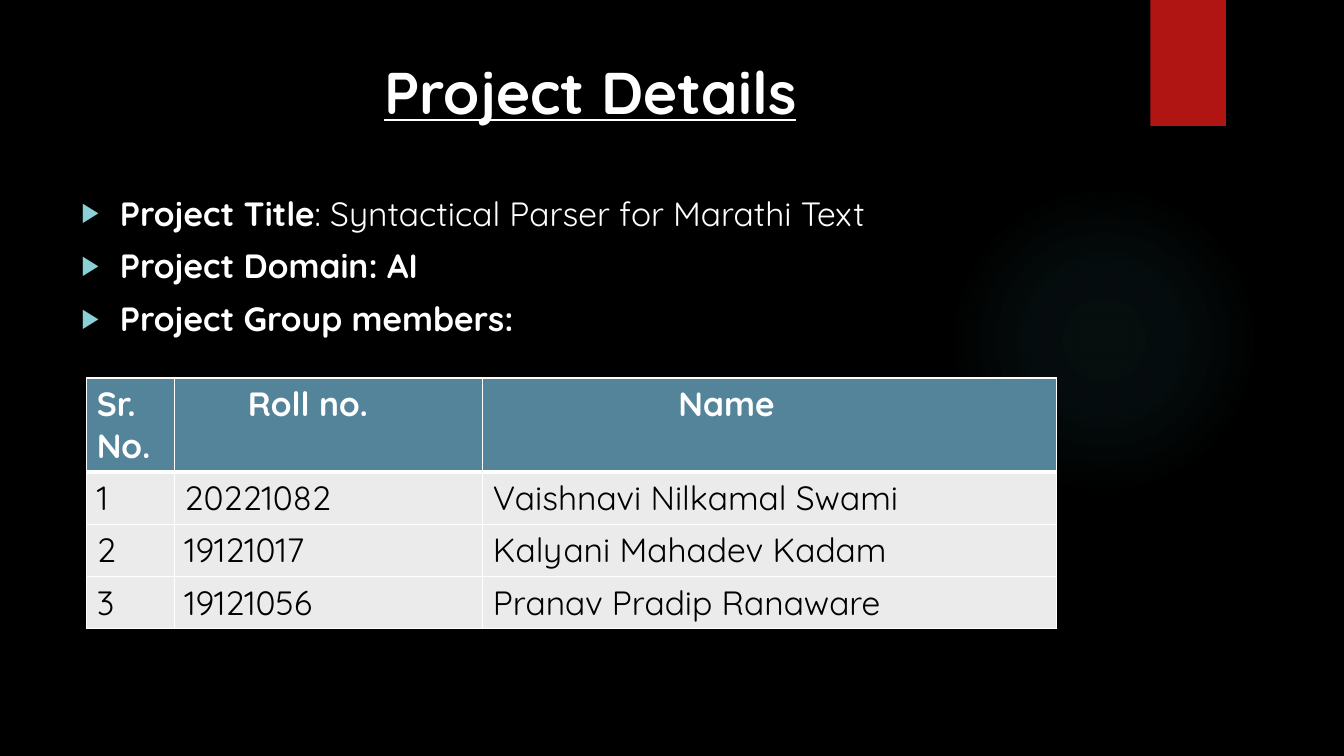
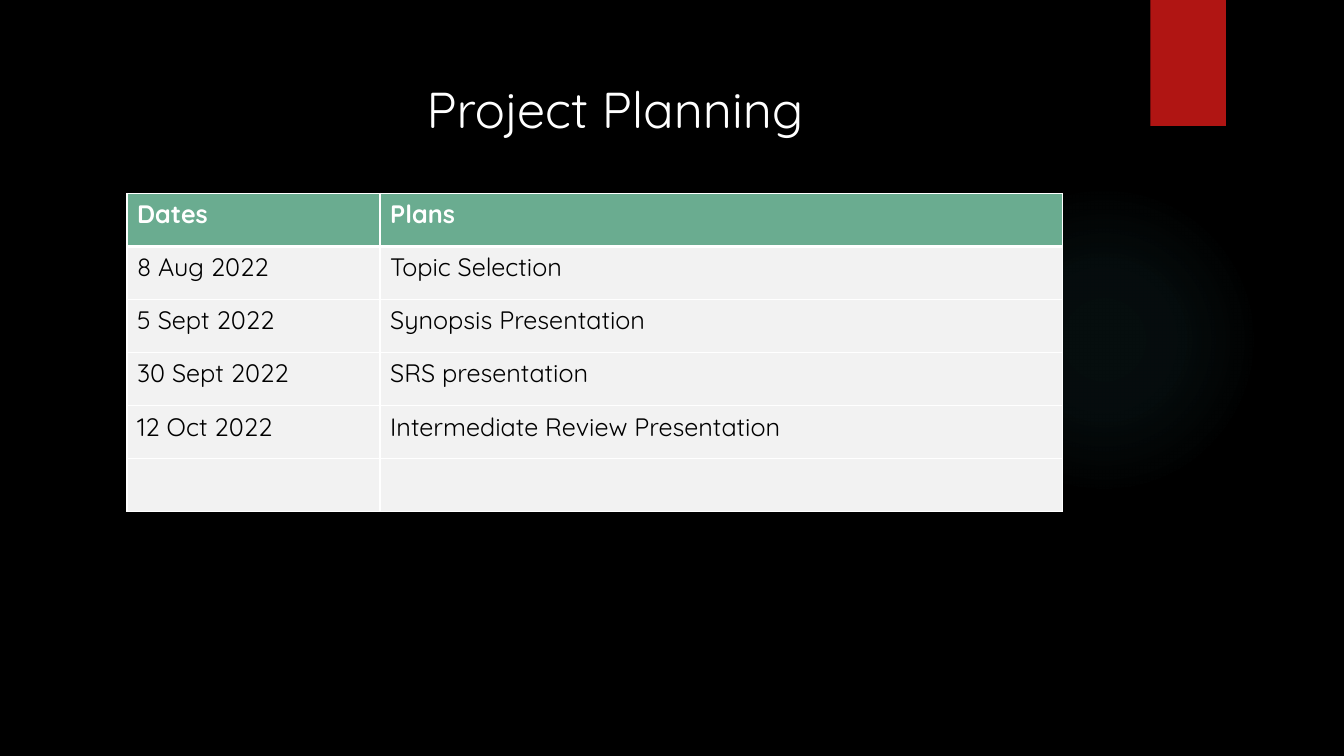
import pptx
import pptx.dml.color
import pptx.enum.shapes
import pptx.enum.text
import pptx.oxml
import pptx.oxml.ns
import pptx.util

Inches = pptx.util.Inches
Pt = pptx.util.Pt
RGBColor = pptx.dml.color.RGBColor
MSO_SHAPE = pptx.enum.shapes.MSO_SHAPE
PP_ALIGN = pptx.enum.text.PP_ALIGN

FONT = "Quicksand"
BLACK = RGBColor(0x00, 0x00, 0x00)
WHITE = RGBColor(0xFF, 0xFF, 0xFF)
RED = RGBColor(0xB0, 0x15, 0x13)
GLOW = RGBColor(0x50, 0xB9, 0xC1)
BULLET = RGBColor(0x8A, 0xD0, 0xD6)
BLUE = RGBColor(0x54, 0x84, 0x9A)
GREEN = RGBColor(0x6A, 0xAC, 0x90)
GRAY = RGBColor(0xEB, 0xEB, 0xEB)
LIGHT_GRAY = RGBColor(0xF2, 0xF2, 0xF2)

GLOW_STOPS = [(0, 7), (36, 6), (69, 0)]  # position and opacity, in percent
THIN, THICK = 1, 3


def append_xml(parent, xml):
    parent.append(drawing_xml(xml))


def drawing_xml(xml):
    """Parse one DrawingML element, declaring the a: prefix on its tag."""
    tag, rest = xml[:-2].split(" ", 1) if xml.count("<") == 1 else xml.split(" ", 1)
    ending = "/>" if xml.count("<") == 1 else ""
    namespace = pptx.oxml.ns.nsdecls("a")
    return pptx.oxml.parse_xml(f"{tag} {namespace} {rest}{ending}")


def set_font(font, size, color, bold=None):
    font.name = FONT
    font.size = Pt(size)
    font.color.rgb = color
    font.bold = bold


def add_plain_shape(slide, kind, left, top, width, height):
    shape = slide.shapes.add_shape(
        kind, Inches(left), Inches(top), Inches(width), Inches(height))
    shape.shadow.inherit = False
    shape.line.fill.background()
    return shape


def add_glow(slide):
    glow = add_plain_shape(slide, MSO_SHAPE.OVAL, 9.41, 1.83, 3.08, 3.08)
    glow.fill.background()
    stops = "".join(
        f'<a:gs pos="{position * 1000}"><a:srgbClr val="{GLOW}">'
        f'<a:alpha val="{opacity * 1000}"/></a:srgbClr></a:gs>'
        for position, opacity in GLOW_STOPS)
    gradient = drawing_xml(
        f'<a:gradFill rotWithShape="1"><a:gsLst>{stops}</a:gsLst>'
        '<a:path path="circle"><a:fillToRect l="50000" t="50000" r="50000" b="50000"/>'
        '</a:path></a:gradFill>')
    properties = glow._element.spPr
    properties.replace(properties.find(pptx.oxml.ns.qn("a:noFill")), gradient)


def add_slide(presentation):
    """Add a blank slide with the shared glow and red tab."""
    slide = presentation.slides.add_slide(presentation.slide_layouts[6])
    add_glow(slide)
    tab = add_plain_shape(slide, MSO_SHAPE.RECTANGLE, 11.41, 0, 0.75, 1.25)
    tab.fill.solid()
    tab.fill.fore_color.rgb = RED
    return slide


def add_text_frame(slide, left, top, width, height):
    box = slide.shapes.add_textbox(
        Inches(left), Inches(top), Inches(width), Inches(height))
    box.text_frame.word_wrap = True
    return box.text_frame


def add_title(slide, text, place, size, bold=False, underline=False):
    paragraph = add_text_frame(slide, *place).paragraphs[0]
    paragraph.text = text
    paragraph.alignment = PP_ALIGN.CENTER
    set_font(paragraph.font, size, WHITE, bold)
    paragraph.font.underline = underline


def add_bullets(slide, items, place):
    """Add bullets; each item is a bold label and a plain remainder."""
    frame = add_text_frame(slide, *place)
    for index, (label, detail) in enumerate(items):
        paragraph = frame.add_paragraph() if index else frame.paragraphs[0]
        paragraph.space_before = Pt(9)
        set_font(paragraph.font, 24, WHITE)
        paragraph.add_run().text = label
        paragraph.runs[0].font.bold = True
        if detail:
            paragraph.add_run().text = detail
        properties = paragraph._p.get_or_add_pPr()
        properties.set("marL", str(Inches(0.38)))
        properties.set("indent", str(-Inches(0.38)))
        bullet = [f'<a:buClr ><a:srgbClr val="{BULLET}"/></a:buClr>',
                  '<a:buSzPct val="80000"/>',
                  '<a:buFont typeface="Arial"/>',
                  '<a:buChar char="▶"/>']
        default_font = properties.find(pptx.oxml.ns.qn("a:defRPr"))
        for xml in bullet:
            default_font.addprevious(drawing_xml(xml))


def set_borders(cell, top, bottom):
    properties = cell._tc.get_or_add_tcPr()
    for side, width in (("L", THIN), ("R", THIN), ("T", top), ("B", bottom)):
        append_xml(properties,
                   f'<a:ln{side} w="{Pt(width)}"><a:solidFill>'
                   f'<a:srgbClr val="{WHITE}"/></a:solidFill></a:ln{side}>')


def add_table(slide, rows, left, top, widths, heights, size, header_fill,
              body_fill, header_margins):
    table = slide.shapes.add_table(
        len(rows), len(widths), Inches(left), Inches(top),
        Inches(sum(widths)), Inches(sum(heights))).table
    for column, width in zip(table.columns, widths):
        column.width = Inches(width)
    for row, height in zip(table.rows, heights):
        row.height = Inches(height)
    for row_index, texts in enumerate(rows):
        is_header = row_index == 0
        for column_index, text in enumerate(texts):
            cell = table.cell(row_index, column_index)
            set_borders(cell, THICK if row_index == 1 else THIN,
                        THICK if is_header else THIN)
            cell.fill.solid()
            cell.fill.fore_color.rgb = header_fill if is_header else body_fill
            if is_header:
                cell.margin_left = Inches(header_margins[column_index])
            paragraph = cell.text_frame.paragraphs[0]
            paragraph.text = text
            set_font(paragraph.font, size, WHITE if is_header else BLACK, is_header)


def add_details_slide(presentation):
    slide = add_slide(presentation)
    add_title(slide, "Project Details", (0.71, 0.5, 10.29, 1.06), 42,
              bold=True, underline=True)
    add_bullets(slide, [
        ("Project Title", ": Syntactical Parser for Marathi Text"),
        ("Project Domain: AI", ""),
        ("Project Group members:", ""),
    ], (0.71, 1.86, 10.57, 1.7))
    members = [
        ("Sr. No.", "Roll no.", "Name"),
        ("1", "20221082", "Vaishnavi Nilkamal Swami"),
        ("2", "19121017", "Kalyani Mahadev Kadam"),
        ("3", "19121056", "Pranav Pradip Ranaware"),
    ]
    add_table(slide, members, 0.86, 3.75, [0.87, 3.06, 5.69],
              [0.93] + [0.52] * 3, 24, BLUE, GRAY, [0.1, 0.73, 1.94])


def add_planning_slide(presentation):
    slide = add_slide(presentation)
    plans = [
        ("Dates", "Plans"),
        ("8 Aug 2022", "Topic Selection"),
        ("5 Sept 2022", "Synopsis Presentation"),
        ("30 Sept 2022", "SRS presentation"),
        ("12 Oct 2022", "Intermediate Review Presentation"),
        ("", ""),
    ]
    add_table(slide, plans, 1.26, 1.92, [2.51, 6.77], [3.16 / 6] * 6, 18,
              GREEN, LIGHT_GRAY, [0.1, 0.1])
    add_title(slide, "Project Planning", (3.05, 0.73, 6.1, 0.71), 36)


def main():
    presentation = pptx.Presentation()
    presentation.slide_width = Inches(13.33)
    presentation.slide_height = Inches(7.5)
    background = presentation.slide_master.background.fill
    background.solid()
    background.fore_color.rgb = BLACK
    add_details_slide(presentation)
    add_planning_slide(presentation)
    presentation.save("out.pptx")


if __name__ == "__main__":
    main()
